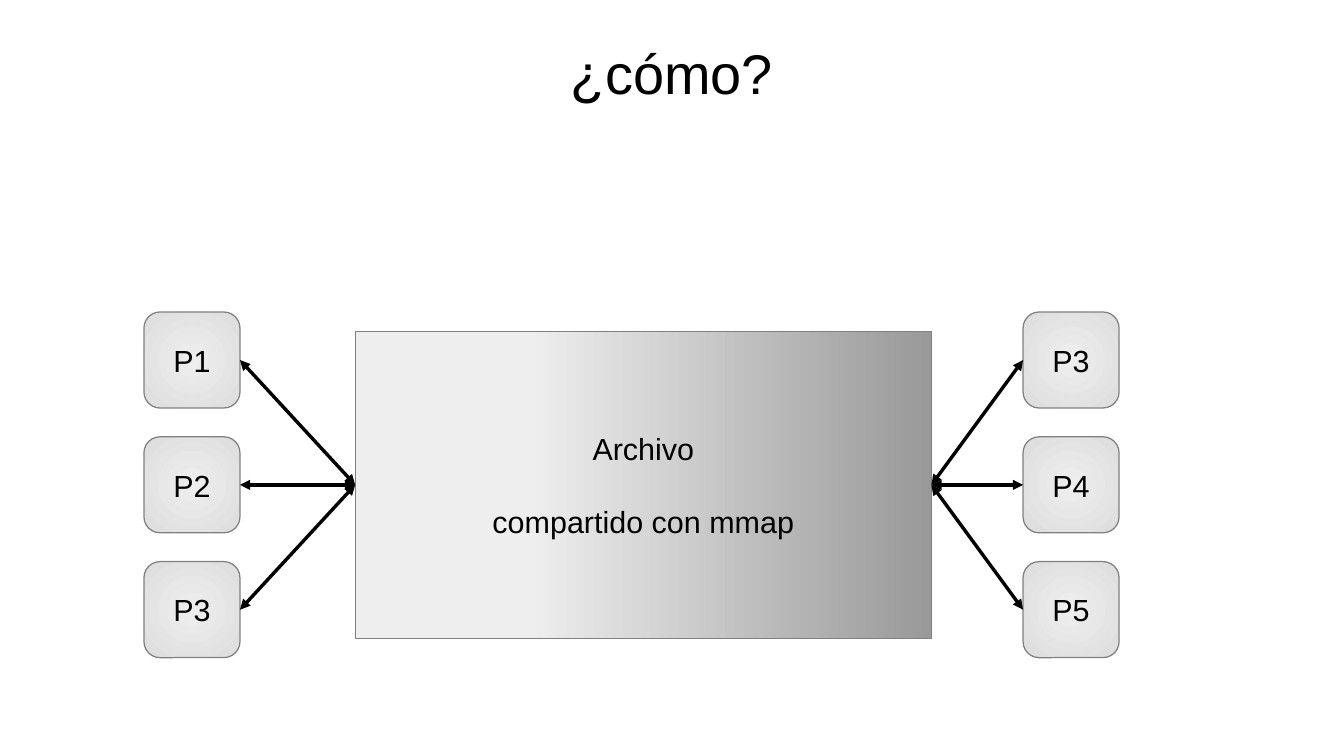
import pptx
import pptx.dml.color
import pptx.enum.shapes
import pptx.enum.text
import pptx.oxml
import pptx.oxml.ns
import pptx.util

Pt = pptx.util.Pt
SHAPES = pptx.enum.shapes.MSO_SHAPE
COLOURS = {"text": "000000", "arrow": "000000", "outline": "808080",
           "light": "EEEEEE", "node_edge": "DDDDDD", "file_edge": "999999"}
FONT = "Arial"

# Layout in points
NODE_SIZE = 56.7
FIRST_ROW, ROW_STEP = 184.25, 73.7
FILE_BOX = (209.7, 195.6, 340.2, 181.4)
LEFT_SITE, RIGHT_SITE = 1, 3
# Column left edge, names, node's connection site, file's connection site
COLUMNS = [(85, ["P1", "P2", "P3"], RIGHT_SITE, LEFT_SITE),
           (604, ["P3", "P4", "P5"], LEFT_SITE, RIGHT_SITE)]


def rgb(name):
    return pptx.dml.color.RGBColor.from_string(COLOURS[name])


def add_xml(parent, xml):
    """Append a DrawingML element and return it."""
    declaration = pptx.oxml.ns.nsdecls("a")
    element = pptx.oxml.parse_xml(xml.replace("/>", f" {declaration}/>", 1))
    parent.append(element)
    return element


def write_text(shape, lines, size, gap=0):
    frame = shape.text_frame
    frame.vertical_anchor = pptx.enum.text.MSO_ANCHOR.MIDDLE
    for index, line in enumerate(lines):
        para = frame.paragraphs[0] if index == 0 else frame.add_paragraph()
        para.alignment = pptx.enum.text.PP_ALIGN.CENTER
        if index:
            para.space_before = Pt(gap)
        span = para.add_run()
        span.text = line
        span.font.name = FONT
        span.font.size = Pt(size)
        span.font.color.rgb = rgb("text")


def add_title(page, text):
    box = page.shapes.add_textbox(Pt(39.6), Pt(17.3), Pt(714.2), Pt(51.1))
    frame = box.text_frame
    frame.word_wrap = True
    frame.margin_left = frame.margin_right = 0
    frame.margin_top = frame.margin_bottom = 0
    write_text(box, [text], 33)


def add_gradient_box(page, kind, bounds, lines, edge, start=0, gap=0):
    box = page.shapes.add_shape(kind, *map(Pt, bounds))
    box.shadow.inherit = False
    box.fill.gradient()
    box.fill.gradient_angle = 0
    stops = box.fill.gradient_stops
    for stop, colour, position in zip(stops, ("light", edge), (start, 1)):
        stop.color.rgb = rgb(colour)
        stop.position = position
    box.line.color.rgb = rgb("outline")
    box.line.width = Pt(0)
    box.text_frame.word_wrap = False
    write_text(box, lines, 18, gap)
    return box


def make_radial(box):
    """Turn the linear gradient into one that spreads from the centre."""
    linear = box.element.spPr.find(".//" + pptx.oxml.ns.qn("a:lin"))
    gradient = linear.getparent()
    gradient.remove(linear)
    radial = add_xml(gradient, '<a:path path="circle"/>')
    add_xml(radial, '<a:fillToRect l="50000" t="50000" r="50000" b="50000"/>')


def add_node(page, left, top, name):
    node = add_gradient_box(page, SHAPES.ROUNDED_RECTANGLE,
                            (left, top, NODE_SIZE, NODE_SIZE), [name], "node_edge")
    make_radial(node)
    return node


def add_double_arrow(page, node, node_site, file_box, file_site):
    arrow = page.shapes.add_connector(
        pptx.enum.shapes.MSO_CONNECTOR.STRAIGHT, 0, 0, 0, 0)
    arrow.begin_connect(node, node_site)
    arrow.end_connect(file_box, file_site)
    arrow.line.color.rgb = rgb("arrow")
    arrow.line.width = Pt(0)
    outline = arrow.line._get_or_add_ln()
    for end in ("headEnd", "tailEnd"):
        add_xml(outline, f'<a:{end} type="triangle"/>')
    add_xml(arrow.element.spPr, "<a:effectLst/>")


def main():
    deck = pptx.Presentation()
    deck.slide_width, deck.slide_height = Pt(793.44), Pt(446.4)
    page = deck.slides.add_slide(deck.slide_layouts[6])

    add_title(page, "¿cómo?")

    # Shared file in the middle
    file_box = add_gradient_box(page, SHAPES.RECTANGLE, FILE_BOX,
                                ["Archivo", "compartido con mmap"],
                                "file_edge", start=0.3, gap=22)

    # Processes on both sides, each joined to the file
    for left, names, node_site, file_site in COLUMNS:
        for row, name in enumerate(names):
            node = add_node(page, left, FIRST_ROW + row * ROW_STEP, name)
            add_double_arrow(page, node, node_site, file_box, file_site)

    deck.save("out.pptx")


if __name__ == "__main__":
    main()
